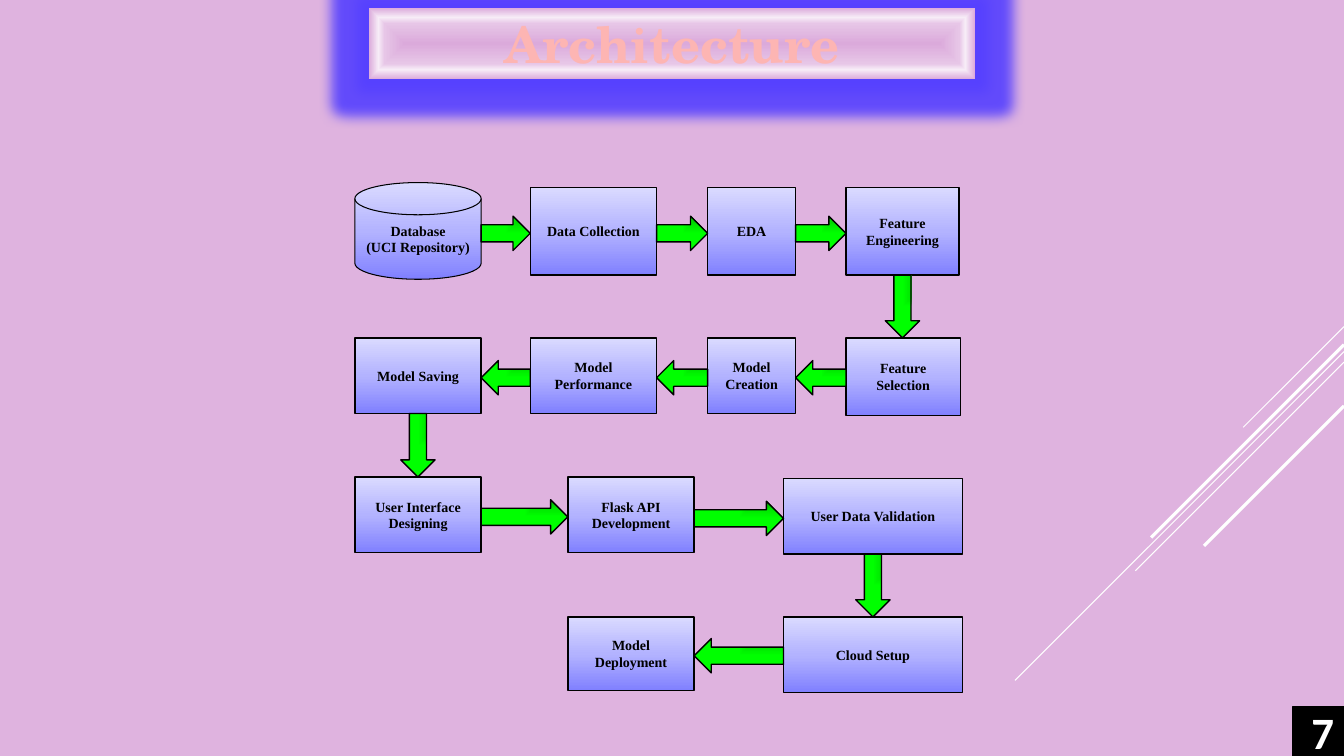
from pptx import Presentation
from pptx.dml.color import RGBColor
from pptx.enum.shapes import MSO_CONNECTOR as CONN, MSO_SHAPE as SHAPE
from pptx.enum.text import MSO_ANCHOR as ANCHOR, PP_ALIGN as ALIGN
from pptx.oxml import parse_xml
from pptx.oxml.ns import nsdecls
from pptx.util import Inches, Pt

LINEAR = '<a:lin ang="16200000" scaled="0"/>'
CORNER = '<a:path path="rect"><a:fillToRect l="100000" b="100000"/></a:path>'
CENTRE = ('<a:path path="shape"><a:fillToRect l="50000" t="50000" '
          'r="50000" b="50000"/></a:path>')


def rgb(value):
    return RGBColor.from_string(value)


class FlowSlide:
    """Draws on one slide, with lengths as percentages of its width and height."""

    box_grad = ([(0, "8080FF"), (50, "B3B3FF"), (100, "DADAFF")], LINEAR)
    arrow_grad = ([(0, "00A000"), (50, "00E600"), (100, "00FF00")], CORNER)
    title_grad = ([(0, "DBAADB"), (56, "E7C6E7"), (73, "F7ECF7"), (100, "DBAADB")], CENTRE)
    arrow_width = Inches(0.34)
    arrow_drop = Inches(0.02)

    def __init__(self, prs, background):
        self.width, self.height = prs.slide_width, prs.slide_height
        self.slide = prs.slides.add_slide(prs.slide_layouts[6])
        fill = self.slide.background.fill
        fill.solid()
        fill.fore_color.rgb = rgb(background)

    def x(self, share):
        return round(self.width * share / 100)

    def y(self, share):
        return round(self.height * share / 100)

    def shape(self, kind, left, top, width, height, line=None, weight=1):
        sp = self.slide.shapes.add_shape(kind, left, top, width, height)
        sp.shadow.inherit = False
        if line:
            sp.line.color.rgb = rgb(line)
            sp.line.width = Pt(weight)
        else:
            sp.line.fill.background()
        return sp

    def gradient(self, sp, stops, direction):
        sp.fill.background()
        stop_xml = "".join(
            f'<a:gs pos="{pos * 1000}"><a:srgbClr val="{color}"/></a:gs>'
            for pos, color in stops)
        spPr = sp._element.spPr
        spPr.replace(spPr.find("{*}noFill"), parse_xml(
            f'<a:gradFill {nsdecls("a")} rotWithShape="1">'
            f'<a:gsLst>{stop_xml}</a:gsLst>{direction}</a:gradFill>'))

    def label(self, sp, text, font, size, color, align=ALIGN.CENTER):
        tf = sp.text_frame
        tf.word_wrap = True
        tf.vertical_anchor = ANCHOR.MIDDLE
        tf.text = text
        for p in tf.paragraphs:
            p.alignment = align
            for r in p.runs:
                r.font.name, r.font.size, r.font.bold = font, Pt(size), True
                r.font.color.rgb = rgb(color)

    def node(self, text, left, top, width, height, kind=SHAPE.RECTANGLE, weight=1):
        sp = self.shape(kind, self.x(left), self.y(top), self.x(width),
                        self.y(height), "000000", weight)
        self.gradient(sp, *self.box_grad)
        self.label(sp, text, "Times New Roman", 10, "000000")
        return sp

    def arrow(self, a, b):
        if b.top >= a.top + a.height:
            start, end, turn = a.top + a.height, b.top, 0
            cx, cy = a.left + a.width // 2, (start + end) // 2
        else:
            forward = b.left > a.left
            first, second = (a, b) if forward else (b, a)
            start, end = first.left + first.width, second.left
            turn = 270 if forward else 90
            cx = (start + end) // 2
            cy = b.top + b.height // 2 + self.arrow_drop
        length = end - start
        sp = self.shape(SHAPE.DOWN_ARROW, cx - self.arrow_width // 2,
                        cy - length // 2, self.arrow_width, length, "000000")
        sp.rotation = turn
        self.gradient(sp, *self.arrow_grad)

    def streak(self, top, run, weight):
        rise = self.y(run)
        line = self.slide.shapes.add_connector(
            CONN.STRAIGHT, self.width, self.y(top), self.width - rise, self.y(top) + rise)
        line.line.color.rgb = rgb("FFFFFF")
        line.line.width = Pt(weight)
        line._element.spPr.append(parse_xml(f'<a:effectLst {nsdecls("a")}/>'))

    def title(self, text, left, top, width, height):
        sp = self.shape(SHAPE.RECTANGLE, self.x(left), self.y(top),
                        self.x(width), self.y(height))
        self.gradient(sp, *self.title_grad)
        sp._element.spPr.find("{*}effectLst").append(parse_xml(
            f'<a:glow {nsdecls("a")} rad="228600"><a:srgbClr val="5540FF">'
            '<a:alpha val="90000"/></a:srgbClr></a:glow>'))
        self.label(sp, text, "TeX Gyre Schola", 36, "FDB5B3")

    def number(self, text, left, top):
        sp = self.shape(SHAPE.RECTANGLE, self.x(left), self.y(top),
                        self.x(100 - left), self.y(100 - top), "000000", 1.25)
        sp.fill.solid()
        sp.fill.fore_color.rgb = rgb("000000")
        self.label(sp, text, "Calibri", 32, "FFFFFF", ALIGN.RIGHT)


def main():
    prs = Presentation()
    prs.slide_width, prs.slide_height = Inches(13.33), Inches(7.5)
    s = FlowSlide(prs, "DFB3DF")

    for top, run, weight in [(43.2, 13.33, 0.75), (46.5, 43.5, 0.75), (47.9, 27.6, 0.75),
                             (45.6, 25.5, 2.25), (53.7, 18.5, 2.25)]:
        s.streak(top, run, weight)
    s.number("7", 96.17, 93.5)

    col1, col2, col3, col4 = 26.4, 39.45, 52.65, 62.95
    mid, right = 42.25, 58.3
    row1, row2, row3, row4 = 24.8, 44.7, 63.1, 81.6
    wide, small, tall, low = 9.4, 6.55, 11.6, 10
    steps = [s.node("Database\n(UCI Repository)", col1, 24.15, wide, 12.8,
                    SHAPE.FLOWCHART_MAGNETIC_DISK, 0.75)]
    steps += [s.node(*step) for step in [
        ("Data Collection", col2, row1, wide, tall),
        ("EDA", col3, row1, small, tall),
        ("Feature Engineering", col4, row1, 8.4, tall),
        ("Feature Selection", col4, row2, 8.5, 10.3),
        ("Model Creation", col3, row2, small, low),
        ("Model Performance", col2, row2, wide, low),
        ("Model Saving", col1, row2, wide, low),
        ("User Interface Designing", col1, row3, wide, low),
        ("Flask API Development", mid, row3, wide, low),
        ("User Data Validation", right, 63.3, 13.3, low),
        ("Cloud Setup", right, row4, 13.3, low),
        ("Model Deployment", mid, row4, wide, 9.75),
    ]]
    for a, b in zip(steps, steps[1:]):
        s.arrow(a, b)
    s.title("Architecture", 27.45, 1.05, 45.1, 9.45)
    prs.save("out.pptx")


if __name__ == "__main__":
    main()
